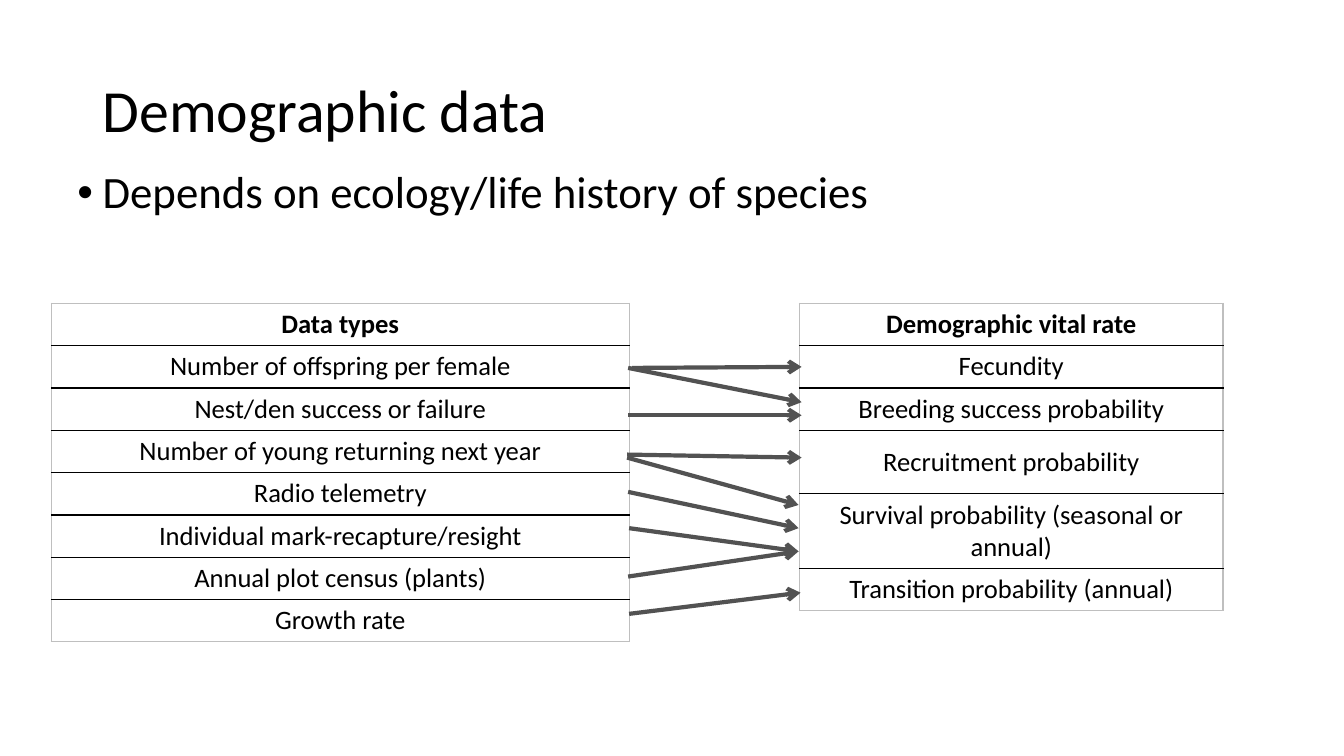
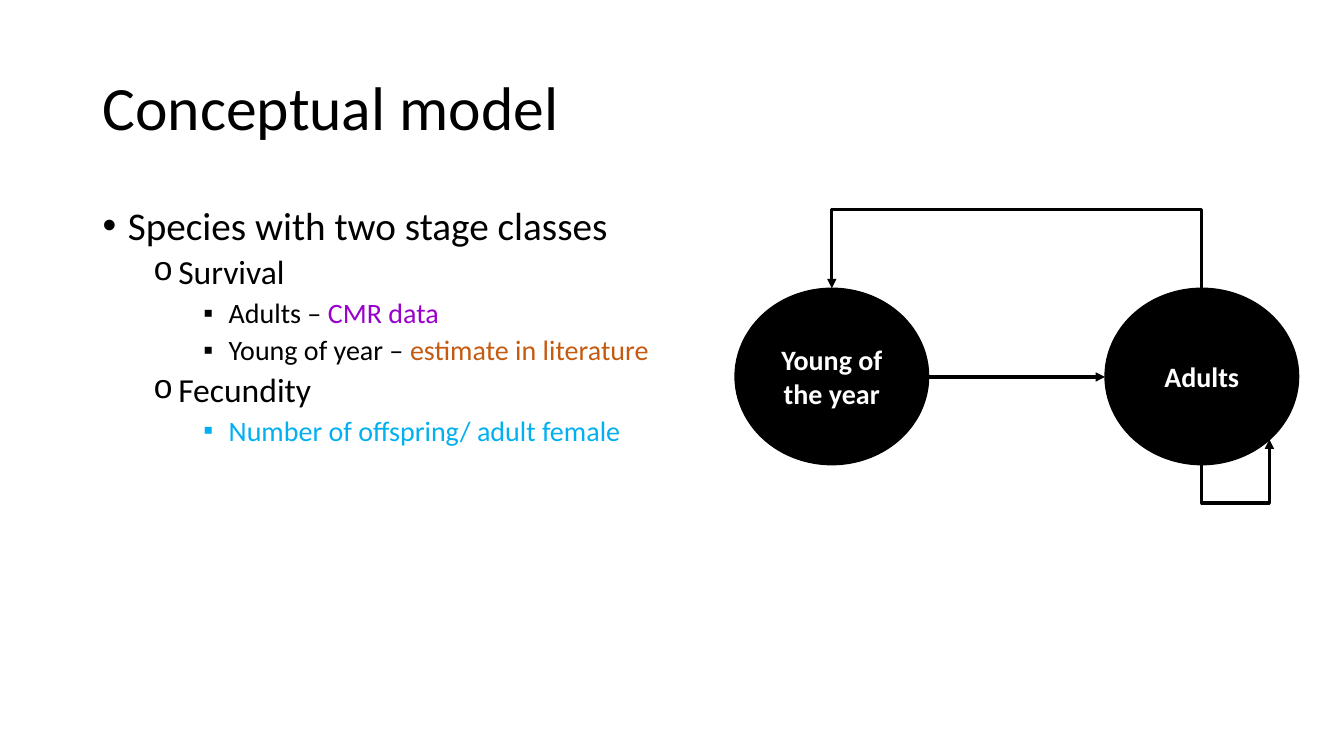
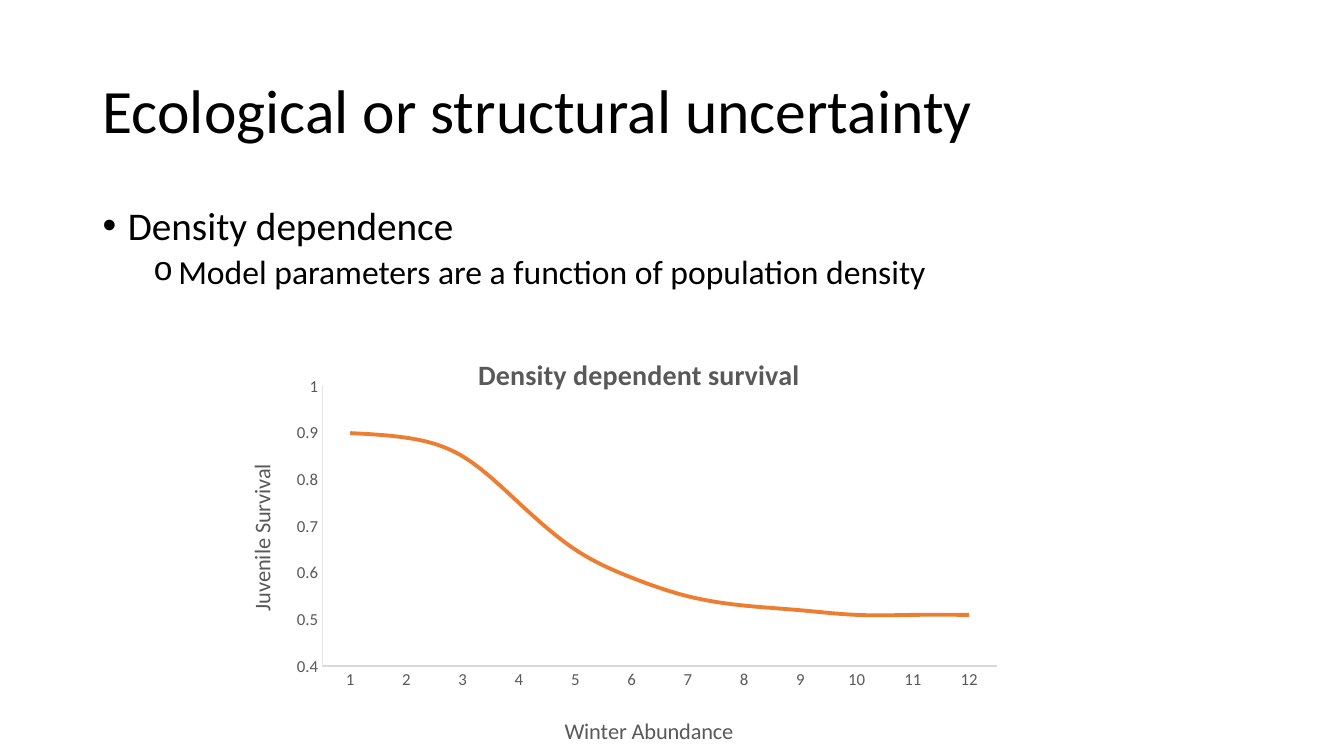
from dataclasses import dataclass
from lxml.etree import SubElement
from pptx import Presentation
from pptx.chart.data import CategoryChartData
from pptx.dml.color import RGBColor
from pptx.enum.chart import XL_CHART_TYPE, XL_MARKER_STYLE, XL_TICK_MARK
from pptx.enum.shapes import MSO_CONNECTOR, MSO_SHAPE
from pptx.enum.text import MSO_ANCHOR, PP_ALIGN
from pptx.oxml.ns import qn
from pptx.util import Emu, Pt


@dataclass(frozen=True)
class Theme:
    font: str = "Calibri"
    ink: str = "000000"
    paper: str = "FFFFFF"
    arrow: str = "525252"
    frame: str = "BFBFBF"
    label: str = "595959"
    axis: str = "D9D9D9"
    side: str = "E7E6E6"
    curve: str = "ED7D31"
    purple: str = "9900CC"
    rust: str = "C55A11"
    blue: str = "00B0F0"
    title: float = 44
    snug: float = 42.7
    lead: float = 32
    levels: tuple = (28, 24, 20)
    cell: float = 19
    node: float = 20
    name: float = 20
    axes: float = 16
    tick: float = 12


LOOK = Theme()
BULLETS = (("•", "Arial"), ("o", "Courier New"), ("▪", "Arial"))
TITLE = (92, 40, 1150, 145)
BODY = (92, 200, 1150, 476)


def px(count):
    return Emu(round(count * 9144))


def box(*sides):
    return [px(side) for side in sides]


def apply(target, values):
    for key, value in values.items():
        setattr(target, key, value)


def style(font, size, color, bold=False):
    apply(font, {"name": LOOK.font, "size": Pt(size), "bold": bold})
    font.color.rgb = RGBColor.from_string(color)


def stroke(line, color, width):
    line.color.rgb = RGBColor.from_string(color)
    line.width = Pt(width)


def write(para, text, size, color, bold=False):
    run = para.add_run()
    run.text = text
    style(run.font, size, color, bold)


def frame(slide, area):
    text = slide.shapes.add_textbox(*box(*area)).text_frame
    text.word_wrap = True
    return text


def head(slide, text, size=LOOK.title, lift=0):
    left, top, width, height = TITLE
    area = frame(slide, (left, top - lift, width, height))
    area.vertical_anchor = MSO_ANCHOR.MIDDLE
    para = area.paragraphs[0]
    para.line_spacing = 0.9
    write(para, text, size, LOOK.ink)


def body(slide, area, lines, sizes=LOOK.levels):
    text = frame(slide, area)
    for index, (level, parts) in enumerate(lines):
        para = text.add_paragraph() if index else text.paragraphs[0]
        apply(para, {"level": level, "line_spacing": 0.9,
                     "space_before": Pt(5 if level else 10)})
        props = para._p.get_or_add_pPr()
        props.set("marL", str(px(25 + 50 * level)))
        props.set("indent", str(px(-25)))
        mark, face = BULLETS[level]
        SubElement(props, qn("a:buFont")).set("typeface", face)
        SubElement(props, qn("a:buChar")).set("char", mark)
        for words, color in parts:
            write(para, words, sizes[level], color)


def edge(cell, sides):
    props = cell._tc.get_or_add_tcPr()
    for index, (side, color) in enumerate(sides.items()):
        line = SubElement(props, qn("a:ln" + side))
        line.set("w", str(Pt(1)))
        fill = SubElement(line, qn("a:solidFill"))
        SubElement(fill, qn("a:srgbClr")).set("val", color)
        props.insert(index, line)


def grid(slide, left, top, width, rows):
    height = sum(tall for _, tall in rows)
    table = slide.shapes.add_table(
        len(rows), 1, *box(left, top, width, height)).table
    apply(table, {"first_row": False, "horz_banding": False})
    last = len(rows) - 1
    for index, (text, tall) in enumerate(rows):
        table.rows[index].height = px(tall)
        cell = table.cell(index, 0)
        apply(cell, {"margin_left": px(13), "margin_right": px(13),
                     "margin_top": px(5), "margin_bottom": px(5),
                     "vertical_anchor": MSO_ANCHOR.MIDDLE})
        cell.fill.background()
        edge(cell, {"L": LOOK.frame, "R": LOOK.frame,
                    "T": LOOK.ink if index else LOOK.frame,
                    "B": LOOK.ink if index < last else LOOK.frame})
        para = cell.text_frame.paragraphs[0]
        para.alignment = PP_ALIGN.CENTER
        write(para, text, LOOK.cell, LOOK.ink, index == 0)


def link(slide, start, end, color, width, tip, kind=MSO_CONNECTOR.STRAIGHT):
    line = slide.shapes.add_connector(kind, *box(*start, *end))
    stroke(line.line, color, width)
    props = line.element.spPr
    SubElement(props.find(qn("a:ln")), qn("a:tailEnd")).set("type", tip)
    SubElement(props, qn("a:effectLst"))
    return line


def glue(line, *ends):
    props = line.element.find(".//" + qn("p:cNvCxnSpPr"))
    for tag, (shape, site) in zip(("a:stCxn", "a:endCxn"), ends):
        join = SubElement(props, qn(tag))
        join.set("id", str(shape.shape_id))
        join.set("idx", str(site))


def bend(slide, start, end, rail):
    wide, tall = abs(end[1] - start[1]), abs(end[0] - start[0])
    left = (start[0] + end[0] - wide) / 2
    top = (start[1] + end[1] - tall) / 2
    rise = (0, tall) if end[0] > start[0] else (tall, 0)
    line = link(slide, (left, top + rise[0]), (left + wide, top + rise[1]),
                LOOK.ink, 2.25, "triangle", MSO_CONNECTOR.ELBOW)
    props = line.element.spPr
    props.find(qn("a:xfrm")).set("rot", str(270 * 60000))
    guide = SubElement(props.find(".//" + qn("a:avLst")), qn("a:gd"))
    guide.set("name", "adj1")
    guide.set("fmla", f"val {round((start[1] - rail) / wide * 100000)}")
    return line


def node(slide, area, text):
    shape = slide.shapes.add_shape(MSO_SHAPE.OVAL, *box(*area))
    shape.shadow.inherit = False
    shape.fill.solid()
    shape.fill.fore_color.rgb = RGBColor.from_string(LOOK.ink)
    stroke(shape.line, LOOK.ink, 1)
    apply(shape.text_frame, {"word_wrap": True,
                             "vertical_anchor": MSO_ANCHOR.MIDDLE})
    para = shape.text_frame.paragraphs[0]
    para.alignment = PP_ALIGN.CENTER
    write(para, text, LOOK.node, LOOK.paper, True)
    return shape


def model(slide, left, top):
    wide, tall, step = 192, 175, 367
    young = node(slide, (left, top, wide, tall), "Young of the year")
    adult = node(slide, (left + step, top, wide, tall), "Adults")
    near, far = left + wide // 2, left + step + wide // 2
    base, mid = top + tall, top + tall // 2 + 1
    birth = bend(slide, (far, top + 1), (near, top), top - 79)
    glue(birth, (adult, 0), (young, 0))
    stay = bend(slide, (far, base), (far + 67, base - 25), base + 38)
    glue(stay, (adult, 4), (adult, 5))
    grow = link(slide, (left + wide, mid), (left + step, mid),
                LOOK.ink, 2.25, "triangle")
    glue(grow, (young, 6), (adult, 2))


def layout(parent, after, **places):
    old = parent.find(qn("c:layout"))
    if old is not None:
        parent.remove(old)
    outer = SubElement(parent, qn("c:layout"))
    inner = SubElement(outer, qn("c:manualLayout"))
    values = {"xMode": "edge", "yMode": "edge", **places}
    if "w" in places:
        values = {"layoutTarget": "inner", **values}
    for key, value in values.items():
        SubElement(inner, qn("c:" + key)).set("val", str(value))
    parent.insert(after, outer)


def label(title, text, size, left, top, bold=False):
    write(title.text_frame.paragraphs[0], text, size, LOOK.label, bold)
    layout(title._element, 1, x=left, y=top)


def plot(slide, area):
    data = CategoryChartData()
    data.categories = [str(count) for count in range(1, 13)]
    data.add_series("Series 1", (0.9, 0.89, 0.85, 0.75, 0.65, 0.59,
                                 0.55, 0.53, 0.52, 0.51, 0.51, 0.51))
    chart = slide.shapes.add_chart(
        XL_CHART_TYPE.LINE, *box(*area), data).chart
    chart.has_legend = False
    style(chart.font, 10, LOOK.ink)
    label(chart.chart_title, "Density dependent survival",
          LOOK.name, 0.32, 0.11, True)
    across, upright = chart.category_axis, chart.value_axis
    for axis, text, color, width, left, top in (
            (across, "Winter Abundance", LOOK.axis, 1, 0.43, 0.9),
            (upright, "Juvenile Survival", LOOK.side, 0.75, 0.03, 0.35)):
        apply(axis, {"has_major_gridlines": False,
                     "major_tick_mark": XL_TICK_MARK.NONE,
                     "minor_tick_mark": XL_TICK_MARK.NONE})
        style(axis.tick_labels.font, LOOK.tick, LOOK.label)
        stroke(axis.format.line, color, width)
        label(axis.axis_title, text, LOOK.axes, left, top)
    apply(upright, {"minimum_scale": 0.4, "maximum_scale": 1,
                    "major_unit": 0.1})
    chart.plots[0].vary_by_categories = False
    curve = chart.plots[0].series[0]
    curve.smooth = True
    curve.marker.style = XL_MARKER_STYLE.NONE
    stroke(curve.format.line, LOOK.curve, 2.75)
    layout(chart.element.find(".//" + qn("c:plotArea")), 0,
           x=0.13, y=0.19, w=0.85, h=0.61)


def rates(slide):
    head(slide, "Demographic data", LOOK.snug)
    body(slide, (67, 164, 1200, 200),
         [(0, [("Depends on ecology/life history of species", LOOK.ink)])],
         (LOOK.lead,))
    kinds = ("Data types", "Number of offspring per female",
             "Nest/den success or failure",
             "Number of young returning next year", "Radio telemetry",
             "Individual mark-recapture/resight",
             "Annual plot census (plants)", "Growth rate")
    grid(slide, 51, 301, 573, [(kind, 42) for kind in kinds])
    grid(slide, 793, 301, 420, [
        ("Demographic vital rate", 42), ("Fecundity", 42),
        ("Breeding success probability", 42),
        ("Recruitment probability", 63),
        ("Survival probability (seasonal or annual)", 74),
        ("Transition probability (annual)", 42)])
    for start, end in (
            ((627, 365), (795, 364)), ((623, 365), (795, 399)),
            ((623, 488), (792, 524)), ((622, 451), (795, 454)),
            ((622, 454), (792, 501)), ((623, 412), (795, 412)),
            ((624, 524), (792, 547)), ((623, 572), (792, 547)),
            ((624, 609), (794, 588))):
        link(slide, start, end, LOOK.arrow, 3, "arrow")


def stages(slide):
    head(slide, "Conceptual model", lift=3)
    body(slide, BODY, [
        (0, [("Species with two stage classes", LOOK.ink)]),
        (1, [("Survival", LOOK.ink)]),
        (2, [("Adults – ", LOOK.ink), ("CMR data", LOOK.purple)]),
        (2, [("Young of year – ", LOOK.ink),
             ("estimate in literature", LOOK.rust)]),
        (1, [("Fecundity", LOOK.ink)]),
        (2, [("Number of offspring/ adult female", LOOK.blue)])])
    model(slide, 729, 286)


def crowding(slide):
    head(slide, "Ecological or structural uncertainty")
    body(slide, BODY, [
        (0, [("Density dependence", LOOK.ink)]),
        (1, [("Model parameters are a function of population density",
              LOOK.ink)])])
    plot(slide, (217, 297, 788, 455))


def main():
    deck = Presentation()
    apply(deck, {"slide_width": px(1333), "slide_height": px(750)})
    for build in (rates, stages, crowding):
        build(deck.slides.add_slide(deck.slide_layouts[6]))
    deck.save("out.pptx")


if __name__ == "__main__":
    main()
